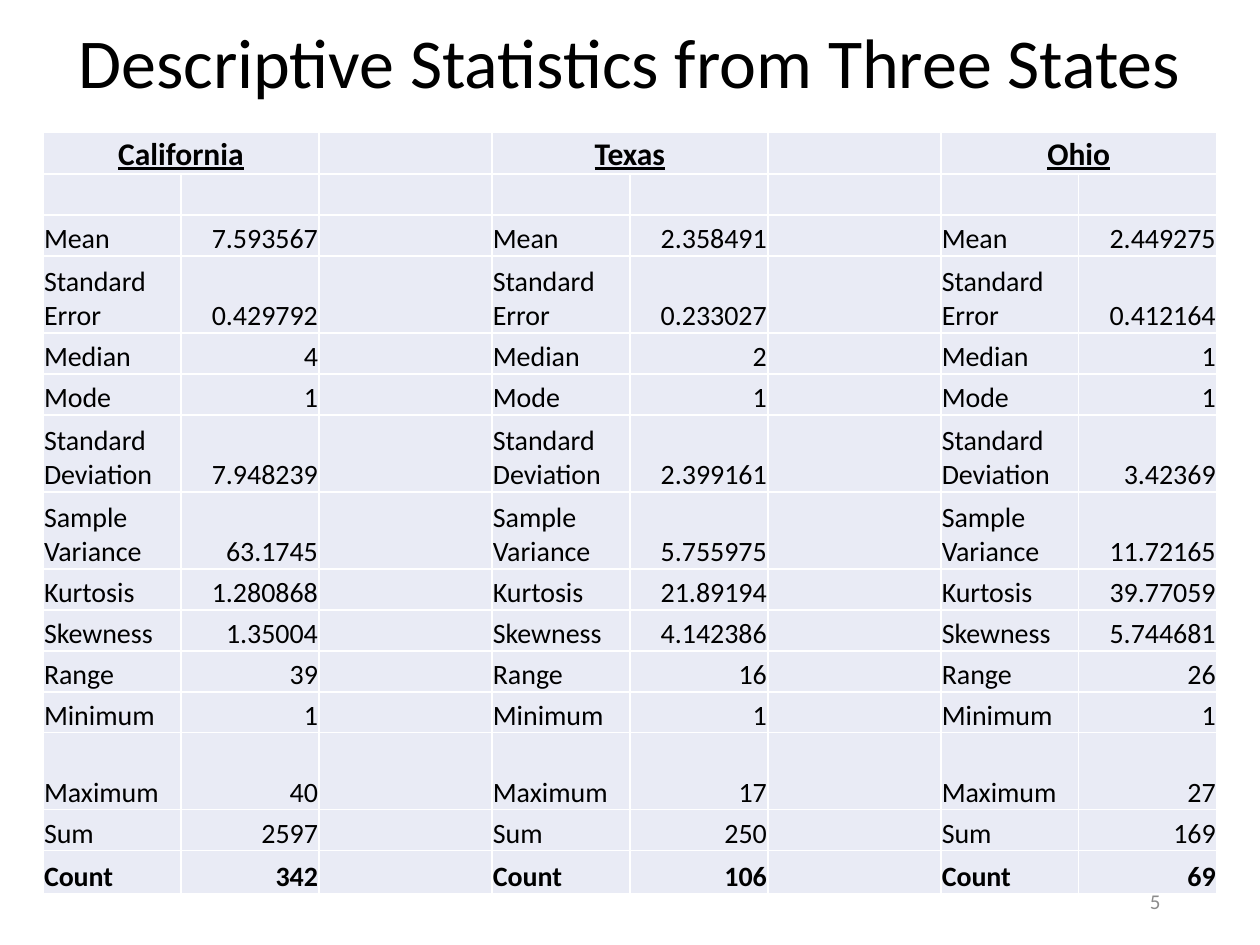
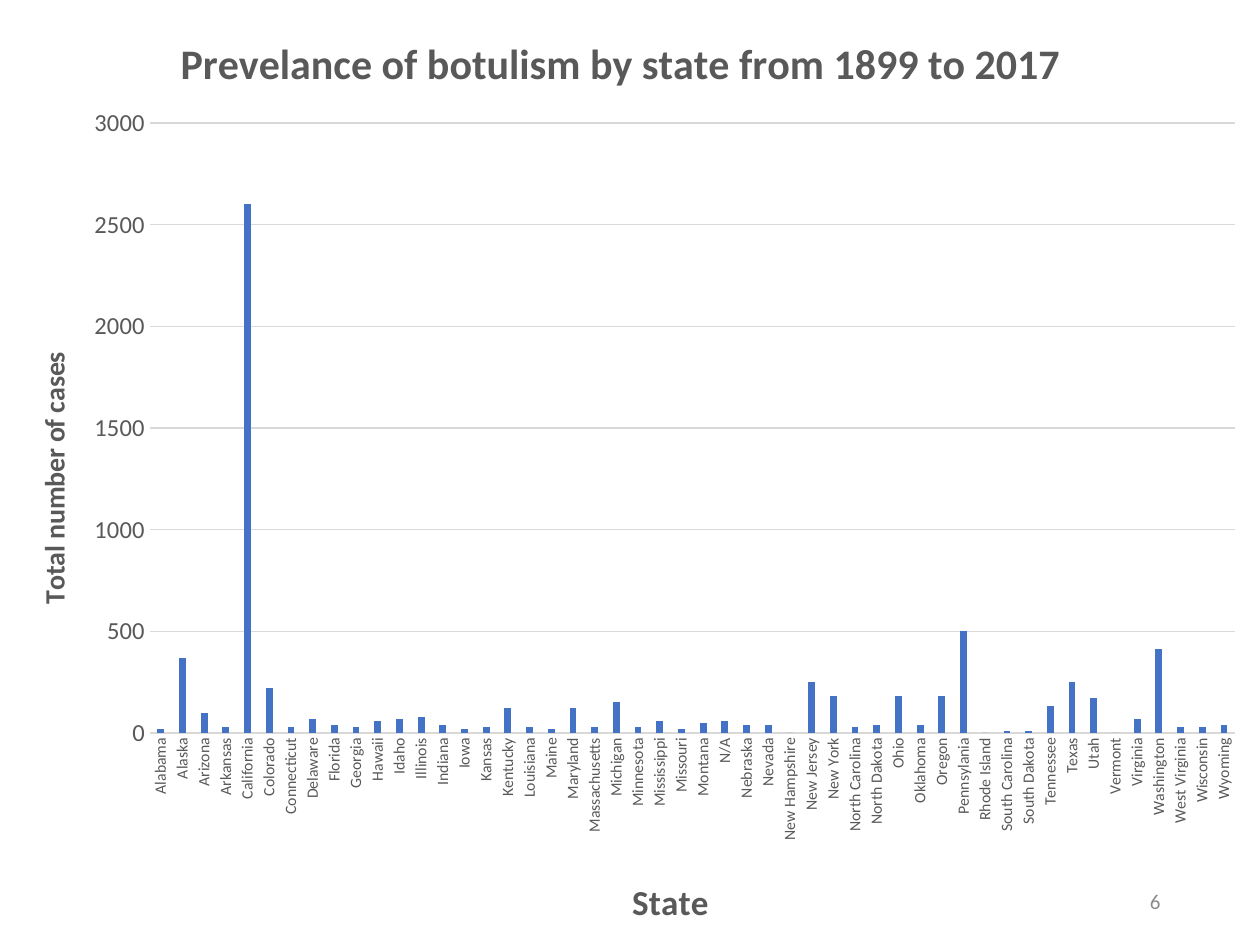
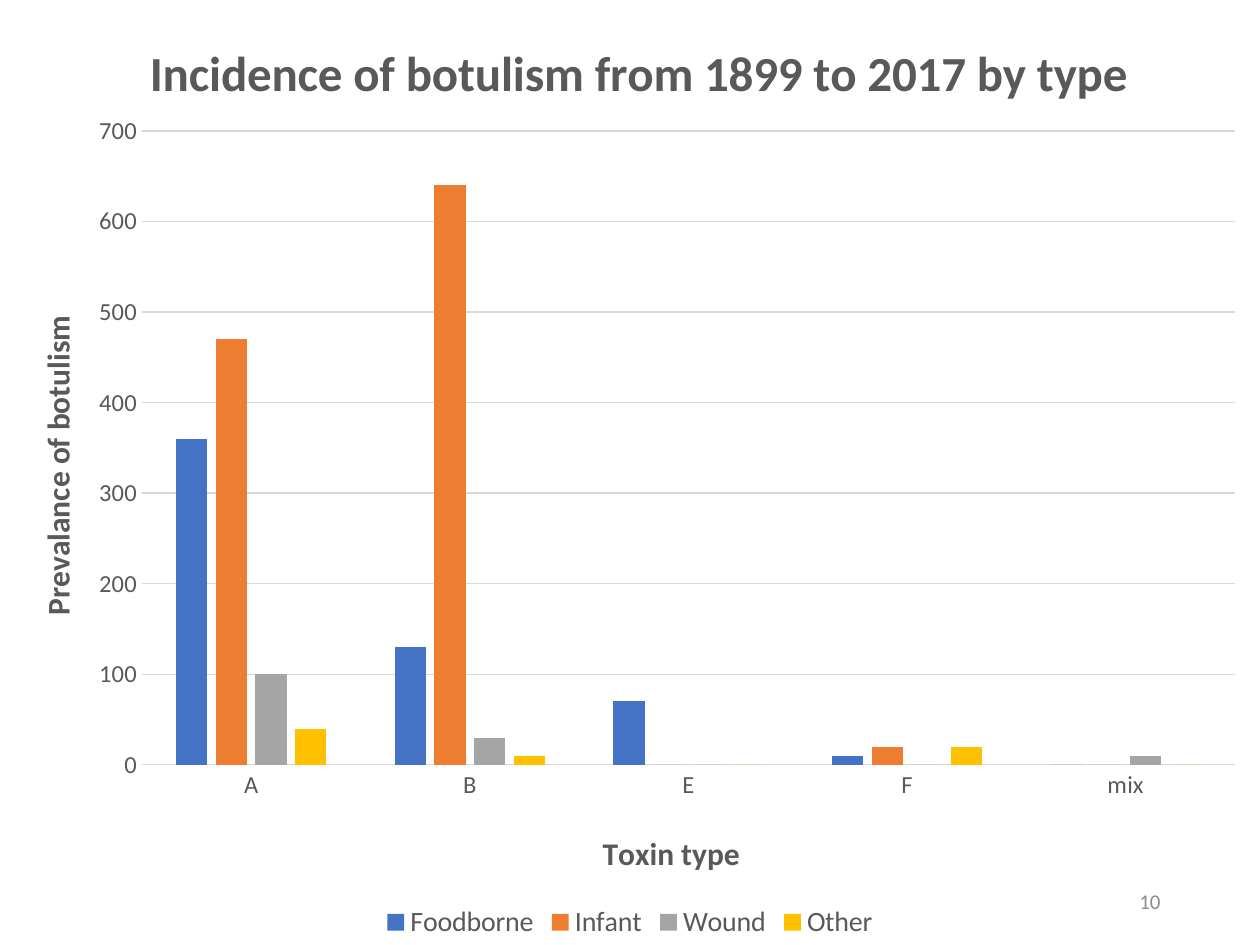
from lxml.etree import SubElement
from pptx import Presentation
from pptx.chart.data import CategoryChartData
from pptx.dml.color import RGBColor
from pptx.enum.chart import XL_CHART_TYPE, XL_LEGEND_POSITION, XL_TICK_MARK
from pptx.enum.text import MSO_ANCHOR, PP_ALIGN
from pptx.oxml import parse_xml
from pptx.oxml.ns import nsdecls, qn
from pptx.util import Pt

EMU_PER_PX = 914400 / 126
SLIDE_W, SLIDE_H = 1260, 945
TITLE_ONLY, BLANK = 5, 6
QUARTER_TURN = "-5400000"

STATISTICS = {
    "Mean": ("7.593567", "2.358491", "2.449275"),
    "Standard Error": ("0.429792", "0.233027", "0.412164"),
    "Median": ("4", "2", "1"),
    "Mode": ("1", "1", "1"),
    "Standard Deviation": ("7.948239", "2.399161", "3.42369"),
    "Sample Variance": ("63.1745", "5.755975", "11.72165"),
    "Kurtosis": ("1.280868", "21.89194", "39.77059"),
    "Skewness": ("1.35004", "4.142386", "5.744681"),
    "Range": ("39", "16", "26"),
    "Minimum": ("1", "1", "1"),
    "Maximum": ("40", "17", "27"),
    "Sum": ("2597", "250", "169"),
    "Count": ("342", "106", "69"),
}
TALL_ROWS = ("Standard Error", "Standard Deviation", "Sample Variance", "Maximum")

CASES_BY_STATE = {
    "Alabama": 20, "Alaska": 370, "Arizona": 100, "Arkansas": 30, "California": 2600,
    "Colorado": 220, "Connecticut": 30, "Delaware": 70, "Florida": 40, "Georgia": 30,
    "Hawaii": 60, "Idaho": 70, "Illinois": 80, "Indiana": 40, "Iowa": 20,
    "Kansas": 30, "Kentucky": 120, "Louisiana": 30, "Maine": 20, "Maryland": 120,
    "Massachusetts": 30, "Michigan": 150, "Minnesota": 30, "Mississippi": 60,
    "Missouri": 20, "Montana": 50, "N/A": 60, "Nebraska": 40, "Nevada": 40,
    "New Hampshire": 0, "New Jersey": 250, "New York": 180, "North Carolina": 30,
    "North Dakota": 40, "Ohio": 180, "Oklahoma": 40, "Oregon": 180,
    "Pennsylania": 500, "Rhode Island": 0, "South Carolina": 10, "South Dakota": 10,
    "Tennessee": 130, "Texas": 250, "Utah": 170, "Vermont": 0, "Virginia": 70,
    "Washington": 410, "West Virginia": 30, "Wisconsin": 30, "Wyoming": 40,
}
CASES_BY_TYPE = {
    "Foodborne": (360, 130, 70, 10, 0),
    "Infant": (470, 640, 0, 20, 0),
    "Wound": (100, 30, 0, 0, 10),
    "Other": (40, 10, 0, 20, 0),
}


def px(length):
    return round(length * EMU_PER_PX)


def rgb(color):
    return RGBColor.from_string(color)


def place_in_chart(element, left, top, size=None):
    """Give a plot area or a title a fixed position, in px of the slide."""
    for automatic in element.findall(qn("c:layout")):
        element.remove(automatic)
    layout = parse_xml(f"<c:layout {nsdecls('c')}/>")
    element.insert(0 if size else 1, layout)
    manual = SubElement(layout, qn("c:manualLayout"))
    settings = {"xMode": "edge", "yMode": "edge",
                "x": left / SLIDE_W, "y": top / SLIDE_H}
    if size:
        settings = {"layoutTarget": "inner", **settings,
                    "w": size[0] / SLIDE_W, "h": size[1] / SLIDE_H}
    for tag, setting in settings.items():
        value = setting if isinstance(setting, str) else f"{setting:.4f}"
        SubElement(manual, qn(f"c:{tag}")).set("val", value)


class Deck:
    FONT = "Calibri"
    BLACK, GREY, PALE_GREY = "000000", "595959", "D9D9D9"
    NUMBER_GREY, CELL_FILL = "8C8C8C", "E9EBF5"
    SERIES_COLORS = ("4472C4", "ED7D31", "A5A5A5", "FFC000")

    def __init__(self):
        self.presentation = Presentation()
        self.presentation.slide_width = px(SLIDE_W)
        self.presentation.slide_height = px(SLIDE_H)
        self.slide = None

    def add_slide(self, layout):
        layouts = self.presentation.slide_layouts
        self.slide = self.presentation.slides.add_slide(layouts[layout])

    def style(self, font, size, color, bold=False, underline=False):
        font.name, font.size = self.FONT, Pt(size)
        font.bold, font.underline = bold, underline
        font.color.rgb = rgb(color)

    def title(self, text, left, top, width, height):
        heading = self.slide.shapes.title
        heading.left, heading.top = px(left), px(top)
        heading.width, heading.height = px(width), px(height)
        heading.text_frame.text = text
        heading.text_frame.vertical_anchor = MSO_ANCHOR.MIDDLE
        paragraph = heading.text_frame.paragraphs[0]
        paragraph.alignment = PP_ALIGN.CENTER
        paragraph.line_spacing = 0.9
        self.style(paragraph.font, 40, self.BLACK)

    def page_number(self, number):
        box = self.slide.shapes.add_textbox(px(890), px(876), px(283), px(50))
        frame = box.text_frame
        frame.word_wrap = True
        frame.vertical_anchor = MSO_ANCHOR.MIDDLE
        frame.text = str(number)
        paragraph = frame.paragraphs[0]
        paragraph.alignment = PP_ALIGN.RIGHT
        self.style(paragraph.font, 12, self.NUMBER_GREY)

    def table(self, left, top, widths, heights):
        frame = self.slide.shapes.add_table(
            len(heights), len(widths), px(left), px(top),
            px(sum(widths)), px(sum(heights)))
        grid = frame.table
        grid.first_row = grid.horz_banding = False
        for column, width in zip(grid.columns, widths):
            column.width = px(width)
        for row, height in zip(grid.rows, heights):
            row.height = px(height)
        for cell in grid.iter_cells():
            cell.fill.solid()
            cell.fill.fore_color.rgb = rgb(self.CELL_FILL)
            cell.margin_left = cell.margin_right = cell.margin_top = px(1)
            cell.margin_bottom = 0
            cell.vertical_anchor = MSO_ANCHOR.BOTTOM
        return grid

    def cell_text(self, cell, text, alignment, size=16, bold=False, underline=False):
        cell.text = text
        paragraph = cell.text_frame.paragraphs[0]
        paragraph.alignment = alignment
        self.style(paragraph.font, size, self.BLACK, bold, underline)

    def chart_heading(self, heading, text, size, left, top, turned=False):
        heading.text_frame.text = text
        self.style(heading.text_frame.paragraphs[0].font, size, self.GREY, bold=True)
        if turned:
            body = heading._element.xpath("c:tx/c:rich/a:bodyPr")[0]
            body.set("rot", QUARTER_TURN)
            body.set("vert", "horz")
        place_in_chart(heading._element, left, top)

    def column_chart(self, categories, series, plot_area, title, category_title,
                     value_title, value_range, category_size=14):
        """Fill the slide with columns; each title is (text, size, left, top)."""
        data = CategoryChartData()
        data.categories = categories
        for name, values in series.items():
            data.add_series(name, values)
        chart = self.slide.shapes.add_chart(
            XL_CHART_TYPE.COLUMN_CLUSTERED, 0, 0, px(SLIDE_W), px(SLIDE_H), data).chart
        self.style(chart.font, 10, self.BLACK)
        chart.has_title = True
        self.chart_heading(chart.chart_title, *title)

        plot = chart.plots[0]
        plot.gap_width, plot.overlap = 219, -27
        plot.vary_by_categories = False
        for columns, color in zip(plot.series, self.SERIES_COLORS):
            columns.format.fill.solid()
            columns.format.fill.fore_color.rgb = rgb(color)

        category_axis, value_axis = chart.category_axis, chart.value_axis
        for axis, size in ((category_axis, category_size), (value_axis, 14)):
            axis.major_tick_mark = axis.minor_tick_mark = XL_TICK_MARK.NONE
            self.style(axis.tick_labels.font, size, self.GREY)
        value_axis.has_major_gridlines = True
        for line in (category_axis.format.line, value_axis.major_gridlines.format.line):
            line.color.rgb = rgb(self.PALE_GREY)
            line.width = Pt(0.75)
        value_axis.format.line.fill.background()
        value_axis.minimum_scale = 0
        value_axis.maximum_scale, value_axis.major_unit = value_range
        self.chart_heading(category_axis.axis_title, *category_title)
        self.chart_heading(value_axis.axis_title, *value_title, turned=True)

        left, top, *size = plot_area
        place_in_chart(chart._chartSpace.xpath("c:chart/c:plotArea")[0], left, top, size)
        chart.has_legend = len(series) > 1
        if chart.has_legend:
            chart.legend.position = XL_LEGEND_POSITION.BOTTOM
            chart.legend.include_in_layout = False
            self.style(chart.legend.font, 16, self.GREY)
        return chart


def statistics_slide(deck):
    deck.add_slide(TITLE_ONLY)
    deck.title("Descriptive Statistics from Three States", 43, 0, 1173, 132)
    heights = [42, 41] + [77 if label in TALL_ROWS else 41 for label in STATISTICS]
    heights[-1] = 43
    label_w, gap_w = 138, 173
    widths = [label_w, label_w, gap_w] * 2 + [label_w, label_w]
    grid = deck.table(43, 132, widths, heights)
    for index, state in enumerate(("California", "Texas", "Ohio")):
        column = 3 * index
        grid.cell(0, column).merge(grid.cell(0, column + 1))
        deck.cell_text(grid.cell(0, column), state, PP_ALIGN.CENTER, 18, True, True)
        for row, (label, values) in enumerate(STATISTICS.items(), start=2):
            bold = label == "Count"
            deck.cell_text(grid.cell(row, column), label, PP_ALIGN.LEFT, bold=bold)
            deck.cell_text(grid.cell(row, column + 1), values[index],
                           PP_ALIGN.RIGHT, bold=bold)
    deck.page_number(5)


def states_slide(deck):
    deck.add_slide(BLANK)
    chart = deck.column_chart(
        list(CASES_BY_STATE), {"Series 1": list(CASES_BY_STATE.values())},
        plot_area=(150, 123, 1085, 610),
        title=("Prevelance of botulism by state from 1899 to 2017", 24, 173, 28),
        category_title=("State", 20, 626, 871),
        value_title=("Total number of cases", 16, 30, 347),
        value_range=(3000, 500), category_size=9)
    labels = chart.category_axis._element.xpath("c:txPr/a:bodyPr")[0]
    labels.set("rot", QUARTER_TURN)
    labels.set("vert", "horz")
    deck.page_number(6)


def toxin_types_slide(deck):
    deck.add_slide(BLANK)
    deck.column_chart(
        ["A", "B", "E", "F", "mix"], CASES_BY_TYPE,
        plot_area=(142, 131, 1093, 634),
        title=("Incidence of botulism from 1899 to 2017 by type", 28, 141, 31),
        category_title=("Toxin type", 18, 597, 826),
        value_title=("Prevalance of botulism", 18, 30, 310),
        value_range=(700, 100))
    deck.page_number(10)


def main():
    deck = Deck()
    statistics_slide(deck)
    states_slide(deck)
    toxin_types_slide(deck)
    deck.presentation.save("out.pptx")


if __name__ == "__main__":
    main()
